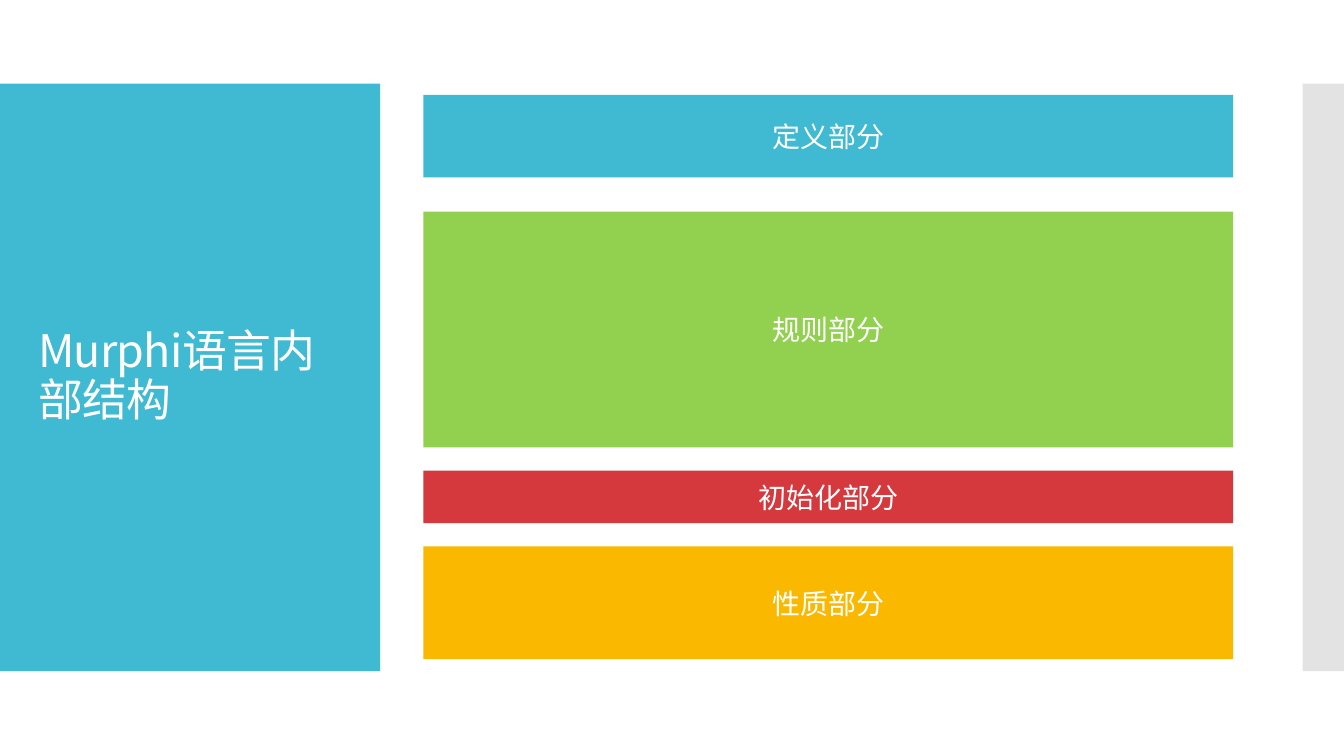
from lxml.etree import SubElement
from pptx import Presentation
from pptx.dml.color import RGBColor
from pptx.enum.shapes import MSO_SHAPE
from pptx.enum.text import MSO_ANCHOR, PP_ALIGN
from pptx.oxml.ns import qn
from pptx.util import Inches, Pt

COLORS = {
    "blue": "40BAD2",
    "green": "92D050",
    "red": "D5393D",
    "yellow": "FAB900",
    "gray": "C8C8C8",
    "white": "FFFFFF",
}
TITLE_FONT = "Noto Sans CJK SC"
SECTIONS = [
    ("定义部分", "blue", 0, 0.82),
    ("规则部分", "green", 1.16, 2.34),
    ("初始化部分", "red", 3.73, 0.52),
    ("性质部分", "yellow", 4.48, 1.12),
]


def add_block(slide, left, top, width, height, color):
    """Add a flat rectangle without outline or shadow."""
    block = slide.shapes.add_shape(
        MSO_SHAPE.RECTANGLE, Inches(left), Inches(top), Inches(width), Inches(height)
    )
    block.shadow.inherit = False
    block.fill.solid()
    block.fill.fore_color.rgb = RGBColor.from_string(COLORS[color])
    block.line.fill.background()
    return block


def style_font(font, name, size):
    """Set a white font of the given name and size."""
    font.name = name
    font.size = Pt(size)
    font.color.rgb = RGBColor.from_string(COLORS["white"])


def add_title_panel(slide, left, top, width, height):
    """Draw the coloured side panel with the slide title."""
    add_block(slide, left, top, width, height, "blue")
    title = slide.shapes.add_textbox(
        Inches(left + 0.28), Inches(top + 0.4), Inches(width - 0.55), Inches(height - 0.8)
    )
    frame = title.text_frame
    frame.word_wrap = True
    frame.vertical_anchor = MSO_ANCHOR.MIDDLE
    heading = frame.paragraphs[0]
    heading.line_spacing = 0.9
    run = heading.add_run()
    run.text = "Murphi语言内部结构"
    style_font(run.font, TITLE_FONT, 32)
    properties = run._r.get_or_add_rPr()
    properties.set("spc", "-60")
    SubElement(properties, qn("a:ea")).set("typeface", TITLE_FONT)


def add_edge_strip(slide, left, top, width, height):
    """Draw the half-transparent strip at the slide edge."""
    strip = add_block(slide, left, top, width, height, "gray")
    color = strip._element.spPr.find(qn("a:solidFill")).find(qn("a:srgbClr"))
    SubElement(color, qn("a:alpha")).set("val", "50000")


def add_sections(slide, left, top, width):
    """Stack the labelled language sections below the given top."""
    for label, color, offset, height in SECTIONS:
        section = add_block(slide, left, top + offset, width, height, color)
        frame = section.text_frame
        frame.word_wrap = True
        frame.vertical_anchor = MSO_ANCHOR.MIDDLE
        caption = frame.paragraphs[0]
        caption.text = label
        caption.alignment = PP_ALIGN.CENTER
        style_font(caption.font, "Calibri", 20)


def main():
    """Build and save the slide."""
    presentation = Presentation()
    presentation.slide_width = Inches(13.33)
    presentation.slide_height = Inches(7.5)
    slide = presentation.slides.add_slide(presentation.slide_layouts[6])
    add_title_panel(slide, 0, 0.83, 3.77, 5.83)
    add_edge_strip(slide, 12.92, 0.83, 0.41, 5.83)
    add_sections(slide, 4.2, 0.94, 8.03)
    presentation.save("out.pptx")


if __name__ == "__main__":
    main()
